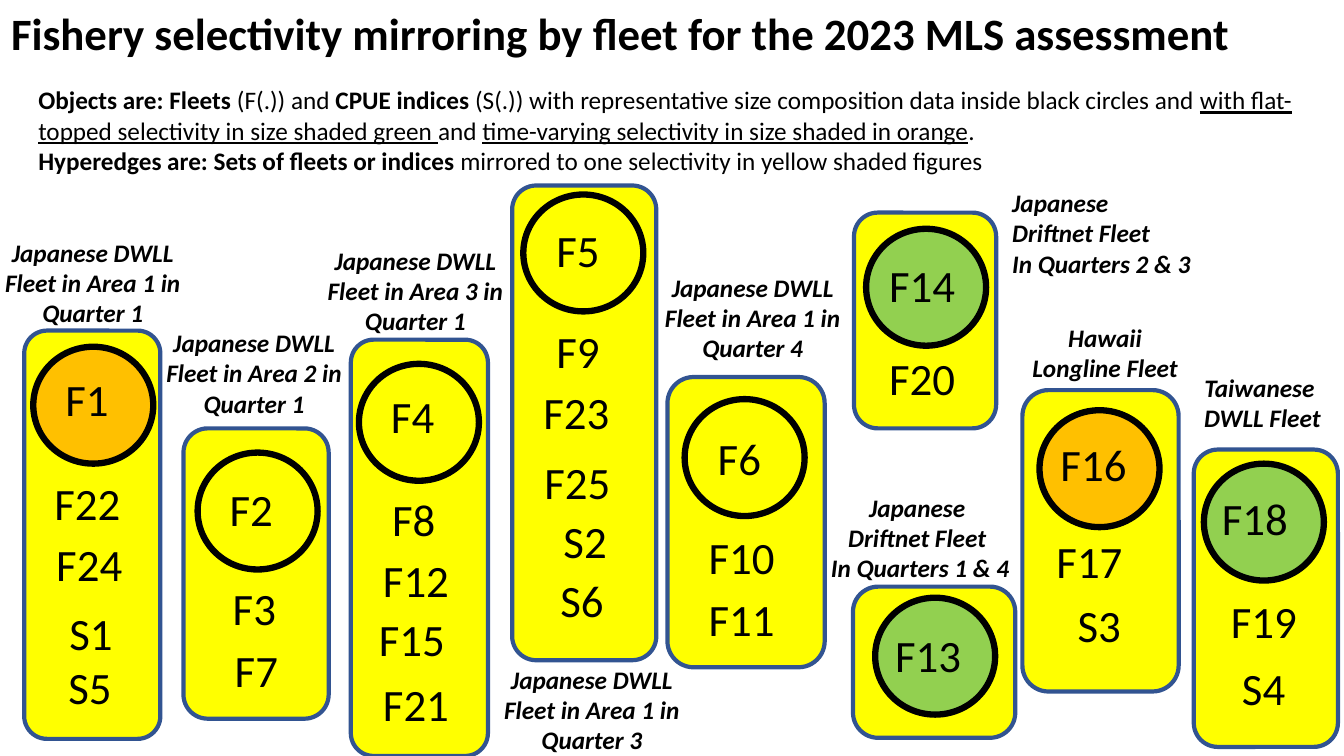
from lxml import etree
from pptx import Presentation
from pptx import util as u
from pptx.dml.color import RGBColor
from pptx.enum import shapes, text
from pptx.oxml.ns import qn

BLACK = RGBColor(0, 0, 0)
YELLOW = RGBColor(0xFF, 0xFF, 0)
BLUE = RGBColor(0x32, 0x54, 0x91)
ORANGE = RGBColor(0xFF, 0xC0, 0)
GREEN = RGBColor(0x92, 0xD0, 0x50)
FONT = "Calibri"
WIDTH, HEIGHT = 13.33, 7.5
CIRCLE_SIZE = (1.19, 1.16)
LABEL_SIZE = (1.1, 0.64)
CENTER, LEFT = text.PP_ALIGN.CENTER, text.PP_ALIGN.LEFT

TITLE = "Fishery selectivity mirroring by fleet for the 2023 MLS assessment"
LEGEND = [
    [("Objects are: Fleets", "b"), (" (F(.)) and ", ""), ("CPUE indices ", "b"),
     ("(S(.)) with representative size composition data inside black circles and ", ""),
     ("with flat-topped selectivity in size shaded green ", "u"), ("and ", ""),
     ("time-varying selectivity in size shaded in orange", "u"), (".", "")],
    [("Hyperedges are: Sets of fleets or indices ", "b"),
     ("mirrored to one selectivity in yellow shaded figures", "")],
]

# box, circle corner, circle fill, labels with corners, caption box, caption lines, alignment
FLEETS = [
    ((0.24, 3.28, 1.35, 4.05), (0.33, 3.44), ORANGE,
     [("F1", 0.55, 3.64), ("F22", 0.44, 4.67), ("F24", 0.46, 5.28),
      ("S1", 0.59, 5.96), ("S5", 0.58, 6.5)],
     (-0.24, 2.3, 2.32, 1.01), ["Japanese DWLL", "Fleet in Area 1 in Quarter 1"], CENTER),
    ((1.82, 4.25, 1.44, 2.88), (1.96, 4.49), None,
     [("F2", 2.18, 4.73), ("F3", 2.21, 5.71), ("F7", 2.23, 6.33)],
     (1.36, 3.2, 2.32, 1.01), ["Japanese DWLL", "Fleet in Area 2 in Quarter 1"], CENTER),
    ((3.48, 3.37, 1.36, 4.13), (3.56, 3.61), None,
     [("F4", 3.78, 3.81), ("F8", 3.79, 4.83), ("F12", 3.7, 5.43),
      ("F15", 3.66, 6.02), ("F21", 3.7, 6.66)],
     (2.96, 2.38, 2.32, 1.01), ["Japanese DWLL", "Fleet in Area 3 in Quarter 1"], CENTER),
    ((5.08, 1.84, 1.43, 4.71), (5.19, 1.93), None,
     [("F5", 5.42, 2.16), ("F9", 5.42, 3.16), ("F23", 5.29, 3.77),
      ("F25", 5.3, 4.46), ("S2", 5.49, 5.05), ("S6", 5.46, 5.63)],
     (4.71, 6.54, 2.32, 1.01), ["Japanese DWLL", "Fleet in Area 1 in Quarter 3"], CENTER),
    ((6.62, 3.74, 1.56, 2.88), (6.79, 3.96), None,
     [("F6", 7.02, 4.22), ("F10", 6.93, 5.21), ("F11", 6.93, 5.82)],
     (6.49, 2.65, 1.95, 1.01), ["Japanese DWLL", "Fleet in Area 1 in Quarter 4"], CENTER),
    ((8.47, 2.11, 1.41, 2.14), (8.59, 2.27), GREEN,
     [("F14", 8.72, 2.51), ("F20", 8.72, 3.43)],
     (9.94, 1.81, 2.08, 1.01), ["Japanese", "Driftnet Fleet", "In Quarters 2 & 3"], LEFT),
    ((8.46, 5.82, 1.61, 1.5), (8.68, 5.93), GREEN, [("F13", 8.78, 6.18)],
     (8.12, 4.83, 2.01, 1.01), ["Japanese ", "Driftnet Fleet ", "In Quarters 1 & 4"], CENTER),
    ((10.14, 3.87, 1.55, 2.99), (10.31, 4.07), ORANGE,
     [("F16", 10.42, 4.28), ("F17", 10.38, 5.25), ("S3", 10.59, 5.88)],
     (10.1, 3.15, 1.72, 0.71), ["Hawaii", "Longline Fleet"], CENTER),
    ((11.84, 4.46, 1.43, 2.95), (11.94, 4.6), GREEN,
     [("F18", 12.02, 4.82), ("F19", 12.11, 5.84), ("S4", 12.22, 6.51)],
     (11.66, 3.64, 1.72, 0.71), ["Taiwanese ", "DWLL Fleet"], CENTER),
]


def inches(lengths):
    return [u.Inches(length) for length in lengths]


def write(shape, paragraphs, size, align=LEFT):
    frame = shape.text_frame
    frame.word_wrap = True
    frame.auto_size = text.MSO_AUTO_SIZE.SHAPE_TO_FIT_TEXT
    frame.vertical_anchor = text.MSO_ANCHOR.TOP
    for index, runs in enumerate(paragraphs):
        paragraph = frame.add_paragraph() if index else frame.paragraphs[0]
        paragraph.alignment = align
        paragraph.space_before = u.Pt(0)
        for wording, style in runs:
            run = paragraph.add_run()
            run.text = wording
            font = run.font
            font.name, font.size = FONT, u.Pt(size)
            font.color.rgb = BLACK
            font.bold, font.italic, font.underline = "b" in style, "i" in style, "u" in style


def place(shape, box):
    shape.left, shape.top, shape.width, shape.height = inches(box)


def add_figure(slide, kind, box, fill, line, weight):
    shape = slide.shapes.add_shape(kind, *inches(box))
    shape.shadow.inherit = False
    if fill is None:
        shape.fill.background()
    else:
        shape.fill.solid()
        shape.fill.fore_color.rgb = fill
    shape.line.color.rgb = line
    shape.line.width = u.Pt(weight)


def add_fleet(slide, box, circle, shade, labels, caption_box, caption, align):
    add_figure(slide, shapes.MSO_SHAPE.ROUNDED_RECTANGLE, box, YELLOW, BLUE, 3)
    add_figure(slide, shapes.MSO_SHAPE.OVAL, circle + CIRCLE_SIZE, shade, BLACK, 4.5)
    for name, left, top in labels:
        label = slide.shapes.add_textbox(*inches((left, top) + LABEL_SIZE))
        write(label, [[(name, "")]], 32)
    caption_shape = slide.shapes.add_textbox(*inches(caption_box))
    write(caption_shape, [[(line, "bi")] for line in caption], 18, align)


def main():
    presentation = Presentation()
    presentation.slide_width, presentation.slide_height = inches((WIDTH, HEIGHT))
    slide = presentation.slides.add_slide(presentation.slide_layouts[1])
    title, legend = slide.placeholders
    place(title, (0.01, 0.01, 13.32, 0.64))
    write(title, [[(TITLE, "b")]], 32)
    place(legend, (0.28, 0.79, 12.92, 1.01))
    write(legend, LEGEND, 18)
    for paragraph in legend.text_frame.paragraphs:
        properties = paragraph._p.get_or_add_pPr()
        properties.set("marL", "0")
        properties.set("indent", "0")
        etree.SubElement(properties, qn("a:buNone"))
    for fleet in FLEETS:
        add_fleet(slide, *fleet)
    presentation.save("out.pptx")


if __name__ == "__main__":
    main()
